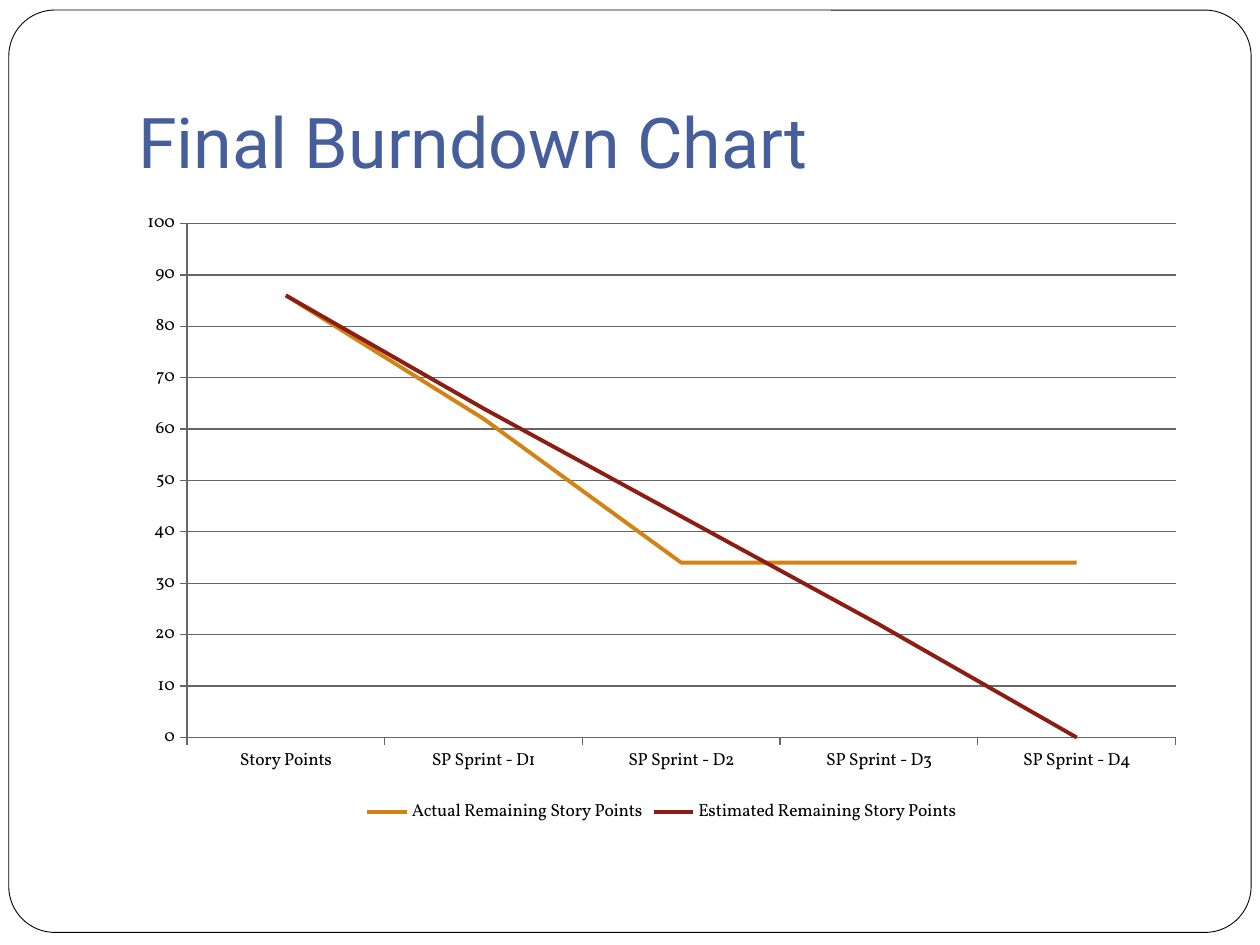
from dataclasses import dataclass

from pptx import Presentation
from pptx.chart.data import CategoryChartData
from pptx.dml.color import RGBColor
from pptx.enum.chart import XL_CHART_TYPE, XL_LEGEND_POSITION, XL_MARKER_STYLE, XL_TICK_MARK
from pptx.enum.shapes import MSO_SHAPE
from pptx.enum.text import MSO_ANCHOR
from pptx.util import Inches, Pt

LINE_CHART = XL_CHART_TYPE.LINE
LEGEND_BOTTOM = XL_LEGEND_POSITION.BOTTOM
NO_MARKER = XL_MARKER_STYLE.NONE
TICK_OUT, TICK_NONE = XL_TICK_MARK.OUTSIDE, XL_TICK_MARK.NONE
ROUND_RECT = MSO_SHAPE.ROUNDED_RECTANGLE
BOTTOM = MSO_ANCHOR.BOTTOM


@dataclass(frozen=True)
class Theme:
    paper: RGBColor = RGBColor.from_string("FFFFFF")
    ink: RGBColor = RGBColor.from_string("000000")
    title: RGBColor = RGBColor.from_string("465E9C")
    grid: RGBColor = RGBColor.from_string("666666")
    actual: RGBColor = RGBColor.from_string("D28314")
    estimated: RGBColor = RGBColor.from_string("8C1D13")
    title_font: str = "Roboto"
    chart_font: str = "Vollkorn"
    title_size: int = 40
    chart_size: int = 10
    frame_width: float = 0.5
    grid_width: float = 0.75
    series_width: float = 2.25


THEME = Theme()

CATEGORIES = ["Story Points"] + [f"SP Sprint - D{day}" for day in range(1, 5)]
SERIES = [
    ("Actual Remaining Story Points", (86, 62, 34, 34, 34), THEME.actual),
    ("Estimated Remaining Story Points", (86, 64, 43, 22, 0), THEME.estimated),
]


def set_attrs(obj, **values):
    for name, value in values.items():
        setattr(obj, name, value)


def set_font(font, name, size, color):
    set_attrs(font, name=name, size=Pt(size), bold=False)
    font.color.rgb = color


def set_line(line, color, width):
    line.color.rgb = color
    line.width = Pt(width)


def add_frame(slide, box):
    sp = slide.shapes.add_shape(ROUND_RECT, *map(Inches, box))
    sp.adjustments[0] = 0.05
    sp.shadow.inherit = False
    sp.fill.solid()
    sp.fill.fore_color.rgb = THEME.paper
    set_line(sp.line, THEME.ink, THEME.frame_width)


def add_title(slide, box, text):
    tf = slide.shapes.add_textbox(*map(Inches, box)).text_frame
    set_attrs(tf, word_wrap=True, vertical_anchor=BOTTOM,
              margin_left=Inches(0.1), margin_right=Inches(0.1),
              margin_top=Inches(0.05), margin_bottom=Inches(0.1))
    r = tf.paragraphs[0].add_run()
    r.text = text
    set_font(r.font, THEME.title_font, THEME.title_size, THEME.title)


def add_burndown(slide, box):
    data = CategoryChartData()
    data.categories = CATEGORIES
    for name, values, _ in SERIES:
        data.add_series(name, values)
    chart = slide.shapes.add_chart(LINE_CHART, *map(Inches, box), data).chart
    set_attrs(chart, has_title=False, has_legend=True)
    set_font(chart.font, THEME.chart_font, THEME.chart_size, THEME.ink)
    set_attrs(chart.legend, position=LEGEND_BOTTOM, include_in_layout=False)

    # Axes and gridlines
    for axis in (chart.category_axis, chart.value_axis):
        set_attrs(axis, major_tick_mark=TICK_OUT, minor_tick_mark=TICK_NONE)
        set_line(axis.format.line, THEME.grid, THEME.grid_width)
    axis = chart.value_axis
    set_attrs(axis, minimum_scale=0, maximum_scale=100, major_unit=10,
              has_major_gridlines=True)
    set_line(axis.major_gridlines.format.line, THEME.grid, THEME.grid_width)

    # Series lines
    plot = chart.plots[0]
    plot.vary_by_categories = False
    for series, (_, _, color) in zip(plot.series, SERIES):
        series.smooth = False
        series.marker.style = NO_MARKER
        set_line(series.format.line, color, THEME.series_width)


def build_slide(prs):
    slide = prs.slides.add_slide(prs.slide_layouts[6])
    add_frame(slide, (0.07, 0.08, 9.86, 7.32))
    add_title(slide, (1, 0.3, 8.5, 1.25), "Final Burndown Chart")
    add_burndown(slide, (1, 1.58, 8.5, 5))


prs = Presentation()
set_attrs(prs, slide_width=Inches(10), slide_height=Inches(7.5))
build_slide(prs)
prs.save("out.pptx")
